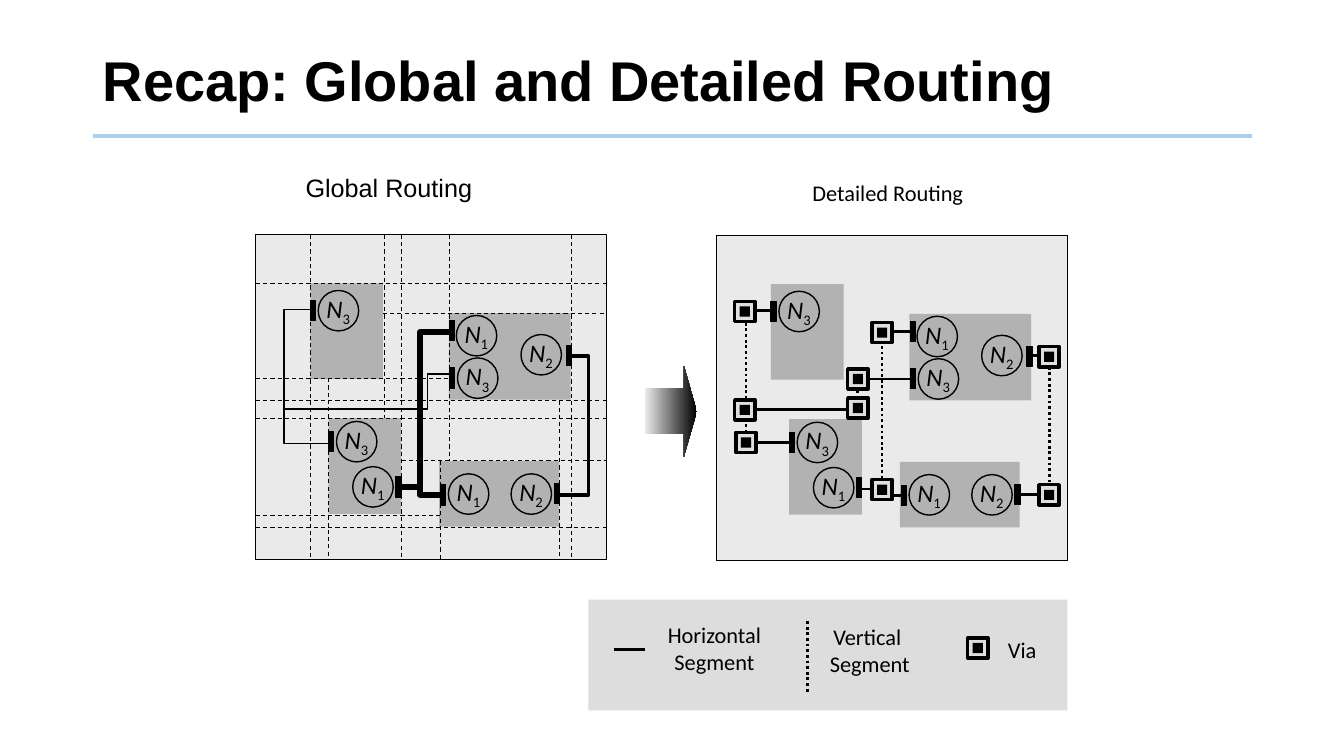
import pptx
import pptx.dml.color
import pptx.enum.dml
import pptx.enum.shapes
import pptx.enum.text
import pptx.oxml.ns
import pptx.util
from lxml import etree
from pptx.util import Cm

SHAPE = pptx.enum.shapes.MSO_SHAPE
DASH = pptx.enum.dml.MSO_LINE
ALIGN = pptx.enum.text.PP_ALIGN
ANCHOR = pptx.enum.text.MSO_ANCHOR

COLORS = {
    "ink": "000000", "rule": "ADCDEA", "panel": "EAEAEA",
    "block": "B2B2B2", "via": "DFDFDF", "legend": "DDDDDD",
}

# Panel geometry in cm; positions below are relative to a panel's corner
PANEL_W, PANEL_H = 8.84, 8.18
GLOBAL_CORNER = (6.45, 5.92)
DETAILED_CORNER = (18.06, 5.94)
PIN_SIZE, BAR_W, VIA_SIZE = 1.02, 0.13, 0.51

BLOCKS = [(4.62, 5.7, 3.02, 1.65), (1.83, 4.62, 1.83, 2.41),
          (1.37, 1.22, 1.83, 2.41), (4.86, 1.97, 3.07, 2.18)]

# Net number, corner of the circle, corner of the bar
PINS = [
    (3, (1.57, 1.4), (1.37, 1.65)), (3, (2.03, 4.7), (1.83, 4.95)),
    (1, (2.44, 5.84), (3.53, 6.1)), (2, (6.43, 6.02), (7.52, 6.27)),
    (1, (4.85, 6.02), (4.65, 6.3)), (3, (5.08, 3.1), (4.88, 3.35)),
    (1, (5.05, 2.03), (4.88, 2.16)), (2, (6.68, 2.51), (7.82, 2.79)),
]

# Cell boundaries: position, start, end
COLUMN_CUTS = [
    (4.88, 0, 5.69), (1.37, 0, PANEL_H), (3.23, 0, 4.62), (1.83, 3.61, PANEL_H),
    (3.68, 0, PANEL_H), (4.65, 5.69, PANEL_H), (7.65, 4.17, PANEL_H), (7.95, 0, PANEL_H),
]
ROW_CUTS = [
    (1.22, 0, PANEL_W), (3.61, 0, 4.88), (4.62, 0, PANEL_W), (7.06, 0, 4.65),
    (1.98, 3.2, PANEL_W), (4.17, 0, PANEL_W), (5.69, 3.68, PANEL_W), (7.37, 0, PANEL_W),
]

# Line width in points, then the corners of the route
BRANCH = [(4.14, 6.35), (4.14, 6.55), (4.7, 6.55)]
GLOBAL_ROUTES = [
    (1, [(1.42, 1.88), (0.71, 1.88), (0.71, 5.26), (1.88, 5.26)]),
    (4, [(3.61, 6.35), (4.14, 6.35), (4.14, 2.44), (4.95, 2.44)]),
    (4, BRANCH),
    (1, [(4.88, 3.51), (4.32, 3.51), (4.32, 4.39), (0.71, 4.39)]),
    (2.5, [(7.59, 6.55), (8.38, 6.55), (8.38, 3.05), (7.87, 3.05)]),
]

# Detailed segments: position, start, end
HORIZONTAL_SEGMENTS = [
    (1.88, 1.42, 0.71), (5.21, 0.74, 1.9), (4.37, 0.71, 3.56), (3.61, 3.51, 4.98),
    (6.38, 3.58, 4.14), (2.41, 4.17, 4.93), (3.02, 7.87, 8.36), (6.53, 7.57, 8.31),
]
VERTICAL_SEGMENTS = [(0.74, 1.91, 5.28), (3.56, 3.61, 4.37),
                     (4.17, 6.4, 2.41), (8.38, 3.02, 6.53)]
VIA_CENTERS = [
    (0.71, 1.91), (0.74, 5.21), (0.71, 4.39), (3.56, 4.34), (3.56, 3.61),
    (4.17, 6.4), (4.17, 2.44), (8.38, 6.53), (8.38, 3.05),
]


def rgb(name):
    return pptx.dml.color.RGBColor.from_string(COLORS[name])


def add_box(shapes, kind, x, y, w, h, fill=None, line_pt=None):
    box = shapes.add_shape(kind, Cm(x), Cm(y), Cm(w), Cm(h))
    box.shadow.inherit = False
    if fill:
        box.fill.solid()
        box.fill.fore_color.rgb = rgb(fill)
    else:
        box.fill.background()
    if line_pt:
        box.line.color.rgb = rgb("ink")
        box.line.width = pptx.util.Pt(line_pt)
    else:
        box.line.fill.background()
    return box


def add_line(shapes, start, end, width, dash=None, color="ink"):
    line = shapes.add_connector(pptx.enum.shapes.MSO_CONNECTOR.STRAIGHT,
                                *(Cm(v) for v in (*start, *end)))
    line.line.color.rgb = rgb(color)
    line.line.width = pptx.util.Pt(width)
    if dash:
        line.line.dash_style = dash
    properties = line.element.find(pptx.oxml.ns.qn("p:spPr"))
    etree.SubElement(properties, pptx.oxml.ns.qn("a:effectLst"))


def add_text(shapes, text, x, y, w, h, size, font="Calibri", align=ALIGN.CENTER,
             anchor=ANCHOR.TOP, bold=False, wrap=True):
    label = shapes.add_textbox(Cm(x), Cm(y), Cm(w), Cm(h))
    frame = label.text_frame
    frame.word_wrap = wrap
    frame.vertical_anchor = anchor
    paragraph = frame.paragraphs[0]
    paragraph.text = text
    paragraph.alignment = align
    for run in paragraph.runs:
        style_run(run, size, font, bold)
    return paragraph


def style_run(run, size, font="Calibri", bold=False):
    run.font.size = pptx.util.Pt(size)
    run.font.name = font
    run.font.bold = bold
    run.font.color.rgb = rgb("ink")


def add_pin(shapes, net, circle, bar):
    add_box(shapes, SHAPE.RECTANGLE, *bar, BAR_W, 0.51, "ink", 0.75)
    pin = shapes.add_group_shape().shapes
    x, y = circle
    name = add_text(pin, "N", x - 0.13, y - 0.06, 1.27, PIN_SIZE, 18)
    name.runs[0].font.italic = True
    index = name.add_run()
    index.text = str(net)
    style_run(index, 18)
    index.font._element.set("baseline", "-25000")
    add_box(pin, SHAPE.OVAL, x, y, PIN_SIZE, PIN_SIZE, line_pt=1)


def add_via(shapes, x, y):
    via = shapes.add_group_shape().shapes
    for size, fill, line_pt in ((VIA_SIZE, "via", 2.5), (VIA_SIZE / 2, "ink", None)):
        add_box(via, SHAPE.RECTANGLE, x - size / 2, y - size / 2, size, size, fill, line_pt)


def add_route(shapes, corner, width, points):
    corners = [(Cm(corner[0] + x), Cm(corner[1] + y)) for x, y in points]
    builder = shapes.build_freeform(*corners[0], scale=1.0)
    builder.add_line_segments(corners[1:], close=False)
    route = builder.convert_to_shape()
    route.shadow.inherit = False
    route.fill.background()
    route.line.color.rgb = rgb("ink")
    route.line.width = pptx.util.Pt(width)


def add_grid_lines(shapes, corner, columns, rows, width, column_dash, row_dash):
    left, top = corner
    for x, start, end in columns:
        add_line(shapes, (left + x, top + start), (left + x, top + end), width, column_dash)
    for y, start, end in rows:
        add_line(shapes, (left + start, top + y), (left + end, top + y), width, row_dash)


def add_panel(shapes, corner):
    left, top = corner
    add_box(shapes, SHAPE.RECTANGLE, left, top, PANEL_W, PANEL_H, "panel", 0.75)
    for x, y, w, h in BLOCKS:
        add_box(shapes, SHAPE.RECTANGLE, left + x, top + y, w, h, "block")


def add_pins(shapes, corner):
    left, top = corner
    for net, (cx, cy), (bx, by) in PINS:
        add_pin(shapes, net, (left + cx, top + cy), (left + bx, top + by))


def add_legend(shapes):
    legend = shapes.add_group_shape().shapes
    add_box(legend, SHAPE.RECTANGLE, 14.83, 15.11, 12.07, 2.79, "legend")
    add_line(legend, (15.47, 16.36), (16.26, 16.36), 2)
    add_text(legend, "Horizontal\vSegment", 16.48, 15.52, 3.05, 1.63, 16, wrap=False)
    add_line(legend, (20.35, 15.65), (20.35, 17.45), 2, DASH.ROUND_DOT)
    add_text(legend, "Vertical \vSegment", 20.14, 15.57, 3.56, 1.63, 16)
    add_via(legend, 24.64, 16.33)
    add_text(legend, "Via", 25.1, 15.9, 1.32, 0.94, 16, wrap=False)


def add_step_arrow(shapes):
    arrow = add_box(shapes, SHAPE.RIGHT_ARROW, 16.26, 9.22, 1.3, 2.29)
    arrow.adjustments[0], arrow.adjustments[1] = 0.5, 0.25
    arrow.fill.gradient()
    arrow.fill.gradient_angle = 0
    for stop, color in zip(arrow.fill.gradient_stops, ("panel", "ink")):
        stop.color.rgb = rgb(color)


def main():
    deck = pptx.Presentation()
    deck.slide_width, deck.slide_height = Cm(33.87), Cm(19.05)
    shapes = deck.slides.add_slide(deck.slide_layouts[6]).shapes

    # Title
    add_line(shapes, (2.34, 3.43), (31.55, 3.43), 3, color="rule")
    title = add_text(shapes, "Recap: Global and Detailed Routing", 2.34, 0.71, 29.21, 2.79,
                     40, "Arial", ALIGN.LEFT, ANCHOR.MIDDLE, bold=True)
    title.line_spacing = 0.9

    # Global routing
    add_text(shapes, "Global Routing", 6.5, 4.22, 6.6, 0.99, 18, "Arial", anchor=ANCHOR.MIDDLE)
    add_panel(shapes, GLOBAL_CORNER)
    add_grid_lines(shapes, GLOBAL_CORNER, COLUMN_CUTS, ROW_CUTS, 0.75, DASH.DASH, DASH.DASH)
    add_pins(shapes, GLOBAL_CORNER)
    for width, points in GLOBAL_ROUTES:
        add_route(shapes, GLOBAL_CORNER, width, points)

    # Detailed routing
    add_step_arrow(shapes)
    add_text(shapes, "Detailed Routing", 20.04, 4.39, 4.67, 0.94, 16, wrap=False)
    add_panel(shapes, DETAILED_CORNER)
    add_pins(shapes, DETAILED_CORNER)
    add_route(shapes, DETAILED_CORNER, 2, BRANCH)
    add_grid_lines(shapes, DETAILED_CORNER, VERTICAL_SEGMENTS, HORIZONTAL_SEGMENTS,
                   2, DASH.ROUND_DOT, None)
    for x, y in VIA_CENTERS:
        add_via(shapes, DETAILED_CORNER[0] + x, DETAILED_CORNER[1] + y)

    add_legend(shapes)
    deck.save("out.pptx")


if __name__ == "__main__":
    main()
